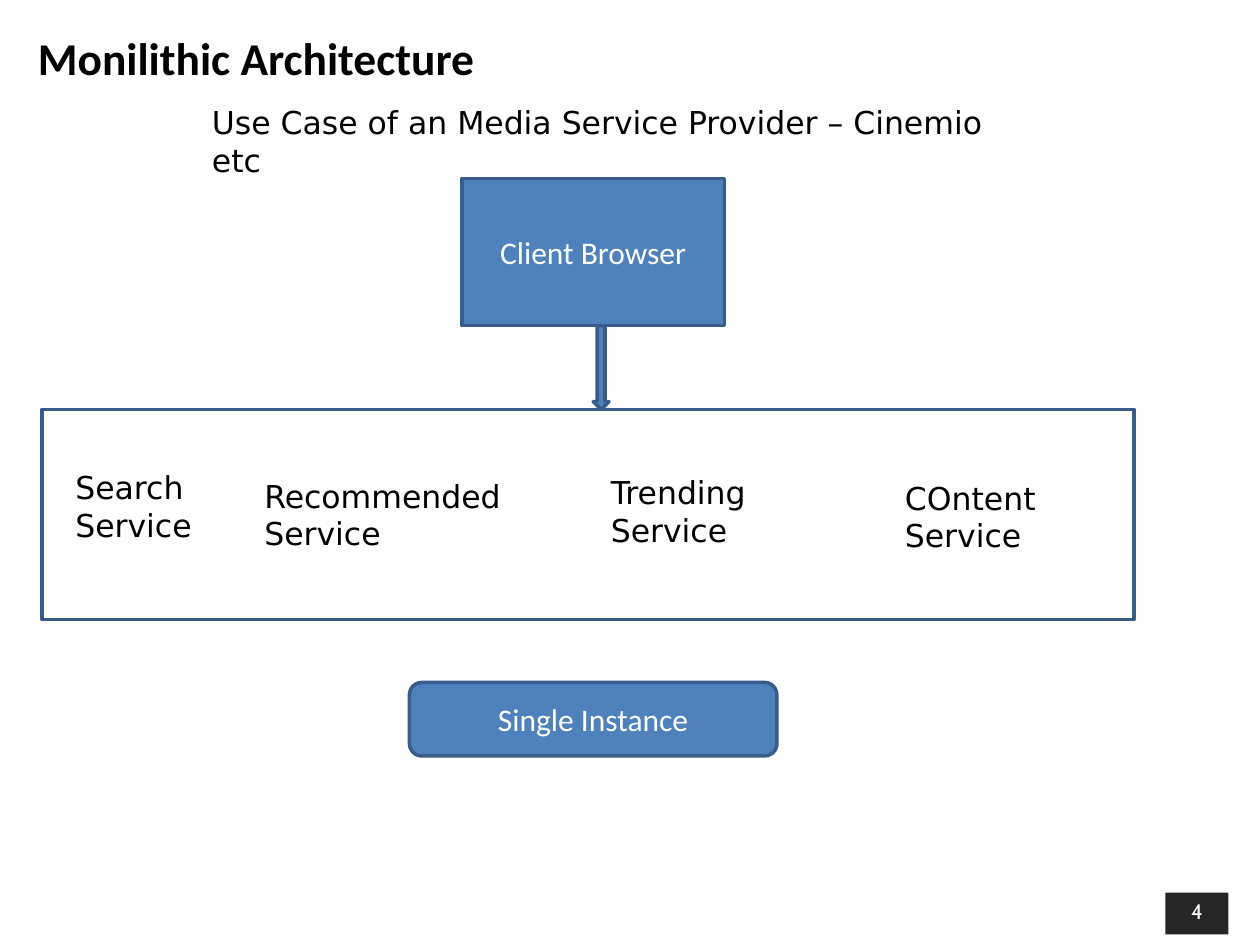
from pptx import Presentation
from pptx.dml.color import RGBColor
from pptx.enum.shapes import MSO_SHAPE
from pptx.enum.text import MSO_ANCHOR, PP_ALIGN
from pptx.util import Inches, Pt

CELL = Inches(10) // 120
BLUE, NAVY, WHITE, BLACK, CHARCOAL = "4F81BD", "385D8A", "FFFFFF", "000000", "262626"
SERVICES = [
    ("Search", (6, 44, 17, 8.4)),
    ("Recommended", (24, 44.8, 25, 8.4)),
    ("Trending", (57, 44.5, 25, 8.4)),
    ("COntent", (85, 45, 15.2, 8.4)),
]


def color(value):
    """Turn a hex string into a colour."""
    return RGBColor.from_string(value)


def place(box):
    """Turn columns and rows of the 120 by 90 grid into slide lengths."""
    return [round(cells * CELL) for cells in box]


def write(shape, text, font, size, ink, align=PP_ALIGN.LEFT, anchor=MSO_ANCHOR.TOP, bold=False):
    """Fill a shape with evenly formatted text."""
    frame = shape.text_frame
    frame.text = text
    frame.word_wrap = True
    frame.vertical_anchor = anchor
    for para in frame.paragraphs:
        para.alignment = align
        for span in para.runs:
            span.font.name = font
            span.font.size = Pt(size)
            span.font.bold = bold
            span.font.color.rgb = color(ink)


def add_block(page, kind, box, fill=BLUE, line=NAVY):
    """Draw a preset shape with an optional fill and outline."""
    block = page.shapes.add_shape(kind, *place(box))
    block.shadow.inherit = False
    if fill:
        block.fill.solid()
        block.fill.fore_color.rgb = color(fill)
    else:
        block.fill.background()
    if line:
        block.line.color.rgb = color(line)
        block.line.width = Pt(2)
    else:
        block.line.fill.background()
    return block


def add_node(page, kind, box, text):
    """Draw a blue block with a centred white label."""
    node = add_block(page, kind, box)
    write(node, text, "Calibri", 18, WHITE, PP_ALIGN.CENTER, MSO_ANCHOR.MIDDLE)


def add_label(page, box, text):
    """Place plain black text."""
    label = page.shapes.add_textbox(*place(box))
    write(label, text, "DejaVu Sans", 18, BLACK)


def add_heading(page, box):
    """Move and format the title placeholder."""
    title = page.shapes.title
    title.left, title.top, title.width, title.height = place(box)
    write(title, "Monilithic Architecture", "Calibri", 26, BLACK,
          anchor=MSO_ANCHOR.MIDDLE, bold=True)


def add_services(page, box):
    """Draw the frame that holds the services."""
    add_block(page, MSO_SHAPE.RECTANGLE, box, fill=None)
    for name, label_box in SERVICES:
        add_label(page, label_box, f"{name}\nService")


def add_page_number(page, box, number):
    """Draw the dark page number tab."""
    tab = add_block(page, MSO_SHAPE.RECTANGLE, box, CHARCOAL, None)
    write(tab, number, "Cabin", 12, WHITE, PP_ALIGN.CENTER)


def main():
    """Build and save the architecture slide."""
    deck = Presentation()
    deck.slide_width, deck.slide_height = 120 * CELL, 90 * CELL
    page = deck.slides.add_slide(deck.slide_layouts[5])
    add_page_number(page, (111, 85, 6, 4), "4")
    add_heading(page, (2.4, 1.8, 115.8, 7.3))
    add_label(page, (19, 9.25, 80.8, 4.8), "Use Case of an Media Service Provider – Cinemio etc")
    add_node(page, MSO_SHAPE.RECTANGLE, (44, 17, 25, 14), "Client Browser")
    add_block(page, MSO_SHAPE.DOWN_ARROW, (56.5, 31, 1.5, 8))
    add_services(page, (4, 39, 104, 20))
    add_node(page, MSO_SHAPE.ROUNDED_RECTANGLE, (39, 65, 35, 7), "Single Instance")
    deck.save("out.pptx")


if __name__ == "__main__":
    main()
